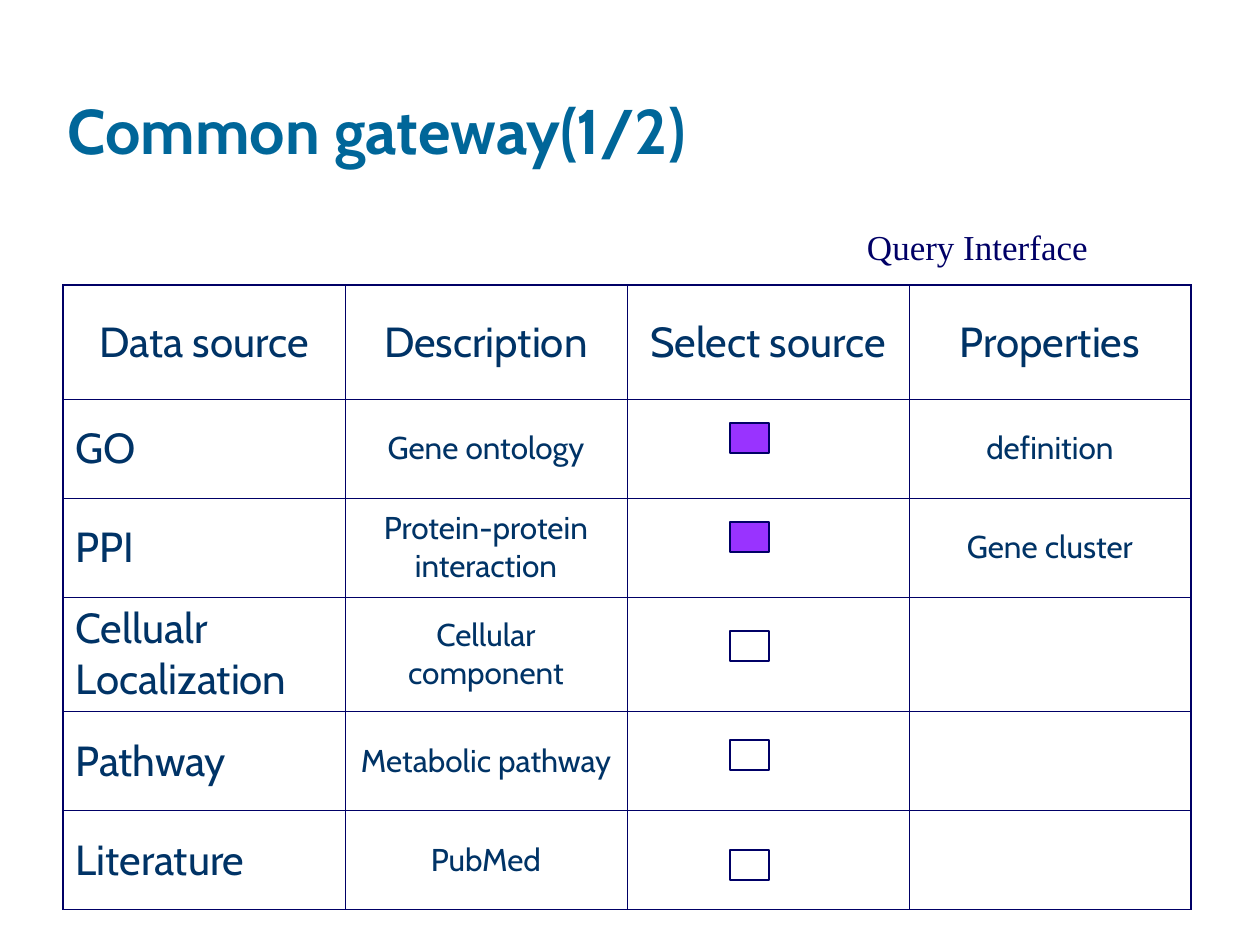
from dataclasses import dataclass

from lxml import etree
from pptx import Presentation
from pptx.dml.color import RGBColor
from pptx.enum.shapes import MSO_SHAPE
from pptx.enum.text import MSO_ANCHOR, MSO_AUTO_SIZE, PP_ALIGN
from pptx.oxml.ns import qn
from pptx.util import Emu, Pt

EMU_PER_PX = 914400 / 126
LEFT, CENTER = PP_ALIGN.LEFT, PP_ALIGN.CENTER
MIDDLE, BOTTOM = MSO_ANCHOR.MIDDLE, MSO_ANCHOR.BOTTOM
NO_AUTOFIT = MSO_AUTO_SIZE.NONE
RECTANGLE = MSO_SHAPE.RECTANGLE
TITLE_ONLY = 5

COLORS = {
    "title": "006699",
    "cell": "003366",
    "line": "000066",
    "checked": "9933FF",
    "unchecked": "FFFFFF",
}
OUTER_BORDER, INNER_BORDER = 1.08, 0.45

TITLE = {"name": "Cabin", "size": Pt(36), "bold": True}
LABEL = {"name": "Times New Roman", "size": Pt(20)}
LARGE = {"name": "Cabin", "size": Pt(24)}
SMALL = {"name": "Cabin", "size": Pt(18)}

HEADINGS = ("Data source", "Description", "Select source", "Properties")
TABLE_LEFT, TABLE_TOP = 63, 285
COLUMN_WIDTH, HEADING_HEIGHT = 282, 114
CHECKBOX_LEFT, CHECKBOX_WIDTH, CHECKBOX_HEIGHT = 730, 39, 30


@dataclass
class Source:
    name: str
    description: str
    properties: str
    checked: bool
    row_height: int
    checkbox_top: int


SOURCES = (
    Source("GO", "Gene ontology", "definition", True, 99, 423),
    Source("PPI", "Protein-protein interaction", "Gene cluster", True, 99, 522),
    Source("Cellualr Localization", "Cellular component", "", False, 114, 631),
    Source("Pathway", "Metabolic pathway", "", False, 99, 740),
    Source("Literature", "PubMed", "", False, 99, 850),
)


def px(length: int) -> Emu:
    return Emu(round(length * EMU_PER_PX))


def rgb(color: str) -> RGBColor:
    return RGBColor.from_string(COLORS[color])


def write_text(frame, text: str, style: dict, color: str, alignment) -> None:
    para = frame.paragraphs[0]
    para.alignment = alignment
    span = para.add_run()
    span.text = text
    for attribute, value in style.items():
        setattr(span.font, attribute, value)
    span.font.color.rgb = rgb(color)


def set_borders(cell, widths: dict) -> None:
    """Add the cell's border lines, given in points by side."""
    properties = cell._tc.get_or_add_tcPr()
    for index, side in enumerate(("L", "R", "T", "B")):
        line = etree.Element(qn(f"a:ln{side}"), w=str(Pt(widths[side])))
        fill = etree.SubElement(line, qn("a:solidFill"))
        etree.SubElement(fill, qn("a:srgbClr"), val=COLORS["line"])
        properties.insert(index, line)


def add_title(page, text: str) -> None:
    title = page.shapes.title
    title.left, title.top, title.width, title.height = map(px, (55, 15, 1071, 158))
    title.text_frame.auto_size = NO_AUTOFIT
    title.text_frame.vertical_anchor = BOTTOM
    write_text(title.text_frame, text, TITLE, "title", LEFT)


def add_label(page, text: str) -> None:
    box = page.shapes.add_textbox(*map(px, (789, 219, 377, 55)))
    box.text_frame.word_wrap = True
    write_text(box.text_frame, text, LABEL, "line", CENTER)


def add_source_table(page) -> None:
    rows = [HEADINGS]
    rows += [(source.name, source.description, "", source.properties) for source in SOURCES]
    heights = [HEADING_HEIGHT] + [source.row_height for source in SOURCES]
    last_row, last_column = len(rows) - 1, len(HEADINGS) - 1
    table = page.shapes.add_table(
        len(rows), len(HEADINGS), px(TABLE_LEFT), px(TABLE_TOP),
        px(COLUMN_WIDTH * len(HEADINGS)), px(sum(heights)),
    ).table
    table.first_row = table.horz_banding = False
    for column in table.columns:
        column.width = px(COLUMN_WIDTH)
    for row, height in zip(table.rows, heights):
        row.height = px(height)
    for row_index, texts in enumerate(rows):
        for column_index, text in enumerate(texts):
            cell = table.cell(row_index, column_index)
            cell.fill.background()
            cell.vertical_anchor = MIDDLE
            on_edge = {
                "L": column_index == 0,
                "R": column_index == last_column,
                "T": row_index == 0,
                "B": row_index == last_row,
            }
            set_borders(cell, {
                side: OUTER_BORDER if outer else INNER_BORDER
                for side, outer in on_edge.items()
            })
            if text:
                style = LARGE if row_index == 0 or column_index == 0 else SMALL
                alignment = LEFT if row_index and column_index == 0 else CENTER
                write_text(cell.text_frame, text, style, "cell", alignment)


def add_checkbox(page, source: Source) -> None:
    box = page.shapes.add_shape(
        RECTANGLE, px(CHECKBOX_LEFT), px(source.checkbox_top),
        px(CHECKBOX_WIDTH), px(CHECKBOX_HEIGHT),
    )
    box.shadow.inherit = False
    box.fill.solid()
    box.fill.fore_color.rgb = rgb("checked" if source.checked else "unchecked")
    box.line.color.rgb = rgb("line")
    box.line.width = Pt(0.75)


def main() -> None:
    deck = Presentation()
    deck.slide_width, deck.slide_height = px(1260), px(945)
    page = deck.slides.add_slide(deck.slide_layouts[TITLE_ONLY])
    add_title(page, "Common gateway(1/2)")
    add_source_table(page)
    for source in SOURCES:
        add_checkbox(page, source)
    add_label(page, "Query Interface")
    deck.save("out.pptx")


if __name__ == "__main__":
    main()
